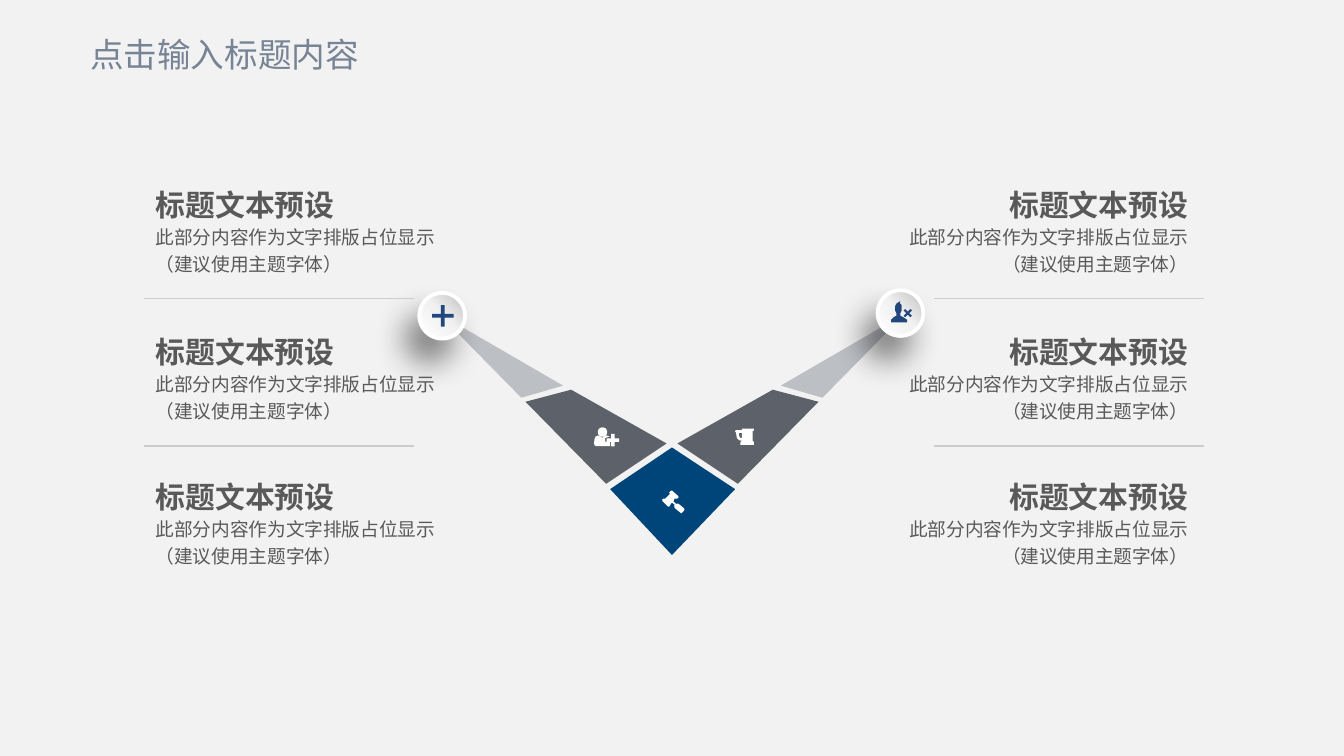
from copy import deepcopy
from dataclasses import dataclass
from math import cos, pi, sin

from lxml.etree import SubElement
from pptx import Presentation
from pptx.dml.color import RGBColor
from pptx.enum.shapes import MSO_CONNECTOR, MSO_SHAPE
from pptx.enum.text import MSO_ANCHOR, PP_ALIGN
from pptx.oxml import parse_xml
from pptx.oxml.ns import nsdecls, qn
from pptx.util import Emu, Pt

PX = 9144  # 100 px to the inch
WIDTH = 1000
HEIGHT = WIDTH * 9 / 16
FONT = "Noto Sans CJK SC"
COLORS = {
    "back": "F2F2F2", "title": "778495", "text": "595959", "rule": "CCCCCC",
    "tip": "BCBFC4", "arm": "5D626A", "base": "004579", "badge_icon": "22477D",
    "white": "FFFFFF", "shade": "BFBFBF", "shadow": "0D0D0D",
}
HEADING = "标题文本预设"
DETAIL = "此部分内容作为文字排版占位显示\n（建议使用主题字体）"

Points = list[tuple[float, float]]


@dataclass
class Outline:
    color: str
    contours: list[Points]


@dataclass
class Column:
    text_x: int
    rule_x: int
    align: PP_ALIGN


def px(n: float) -> Emu:
    return Emu(round(n * PX))


def rgb(name: str) -> RGBColor:
    return RGBColor.from_string(COLORS[name])


def disc(cx: float, cy: float, radius: float, steps: int = 20) -> Points:
    return [(cx + radius * cos(2 * pi * i / steps), cy + radius * sin(2 * pi * i / steps))
            for i in range(steps)]


def mirror(points: Points) -> Points:
    return [(WIDTH - x, y) for x, y in points]


def plus(cx: float, cy: float, reach: float, half: float) -> Points:
    a, b = reach, half
    offsets = [(-b, -a), (b, -a), (b, -b), (a, -b), (a, b), (b, b),
               (b, a), (-b, a), (-b, b), (-a, b), (-a, -b), (-b, -b)]
    return [(cx + dx, cy + dy) for dx, dy in offsets]


def cross(cx: float, cy: float, reach: float, half: float) -> Points:
    """A plus turned by 45 degrees."""
    return [(cx + (x - y) * 0.7, cy + (x + y) * 0.7) for x, y in plus(0, 0, reach, half)]


def add_outline(slide, outline: Outline):
    """One filled freeform; a contour inside another is a hole."""
    builder = None
    for contour in outline.contours:
        points = [(px(x), px(y)) for x, y in contour]
        if builder is None:
            builder = slide.shapes.build_freeform(*points[0], scale=1.0)
        else:
            builder.move_to(*points[0])
        builder.add_line_segments(points[1:], close=True)
    sp = builder.convert_to_shape()
    sp.shadow.inherit = False
    sp.fill.solid()
    sp.fill.fore_color.rgb = rgb(outline.color)
    sp.line.fill.background()
    return sp


def add_badge(slide, x: int, y: int, size: int = 34):
    """A white-rimmed disc with a gradient and a soft shadow."""
    sp = slide.shapes.add_shape(MSO_SHAPE.OVAL, px(x), px(y), px(size), px(size))
    sp.shadow.inherit = False
    sp.line.color.rgb = rgb("white")
    sp.line.width = Pt(2)
    stops = "".join(
        f'<a:gs pos="{pos * 1000}"><a:srgbClr val="{COLORS[name]}"/></a:gs>'
        for pos, name in [(0, "shade"), (50, "back"), (100, "white")])
    props = sp._element.spPr
    props.find(qn("a:prstGeom")).addnext(parse_xml(
        f'<a:gradFill {nsdecls("a")} rotWithShape="1"><a:gsLst>{stops}</a:gsLst>'
        f'<a:lin ang="{135 * 60000}" scaled="0"/></a:gradFill>'))
    props.find(qn("a:effectLst")).append(parse_xml(
        f'<a:outerShdw {nsdecls("a")} blurRad="{Pt(17)}" dist="{Pt(14)}" '
        f'dir="{120 * 60000}" algn="ctr" rotWithShape="0">'
        f'<a:srgbClr val="{COLORS["shadow"]}"><a:alpha val="50000"/></a:srgbClr>'
        '</a:outerShdw>'))
    return sp


def add_text(slide, text: str, x: int, y: int, w: int, h: int, *, size: int,
             color: str = "text", bold: bool = False, align: PP_ALIGN = PP_ALIGN.LEFT,
             spacing: float = 1.0, wrap: bool = True, pad: int = 0,
             anchor: MSO_ANCHOR = MSO_ANCHOR.TOP):
    sp = slide.shapes.add_textbox(px(x), px(y), px(w), px(h))
    tf = sp.text_frame
    tf.word_wrap = wrap
    tf.vertical_anchor = anchor
    tf.margin_left = tf.margin_right = 0
    tf.margin_top = tf.margin_bottom = px(pad)
    p = tf.paragraphs[0]
    p.text = text
    p.alignment = align
    p.line_spacing = spacing
    for r in p.runs:
        r.font.size = Pt(size)
        r.font.bold = bold
        r.font.name = FONT
        r.font.color.rgb = rgb(color)
        SubElement(r.font._element, qn("a:ea"), typeface=FONT)
    # Line breaks take the size of the text around them
    for br in p._p.findall(qn("a:br")):
        br.append(deepcopy(p.runs[0].font._element))
    return sp


def add_rule(slide, x: int, y: int, length: int = 201):
    line = slide.shapes.add_connector(
        MSO_CONNECTOR.STRAIGHT, px(x), px(y), px(x + length), px(y))
    line.line.color.rgb = rgb("rule")
    line.line.width = Pt(0.75)
    SubElement(line._element.spPr, qn("a:effectLst"))
    return line


# Parts of the V
TIP = [(388, 296), (419, 287), (326, 233)]
ARM = [(425, 290), (391, 299), (451, 360), (496, 330)]
BASE = [(500, 333), (454, 364), (500, 413), (547, 364)]

# Icons
PLUS = [plus(329.5, 235, 8, 1.4)]
USER_REMOVE = [
    cross(675.5, 233, 3.6, 0.8),
    [(675, 240), (663, 240), (663, 238), (665, 236), (667, 235), (667, 233),
     (666, 231), (666, 228), (667, 226), (670, 224), (669.5, 225.5), (671, 227),
     (671, 231), (670, 233), (670, 235), (672, 236), (675, 238)],
]
USER_ADD = [
    plus(456, 327.5, 4.7, 1.3),
    disc(448.3, 321.5, 3.5),
    [(452, 329), (454, 329), (454, 332), (444, 332), (442.5, 331.5), (442, 330),
     (442.3, 327), (443, 325), (445, 324), (448, 325.7), (451.5, 324), (453.5, 325),
     (452, 325.3), (450.3, 326), (450.3, 328.5)],
]
MUG = [
    [(552, 322), (549.7, 322), (550, 324.5), (551, 326), (552, 326)],
    [(561, 331), (551, 331), (551, 329), (552, 328), (550, 327.5), (548.3, 326),
     (547.7, 322), (547, 321), (547.5, 320), (552, 320), (552, 319), (561, 319),
     (561, 320), (560, 321), (560, 328), (561, 329)],
]
GAVEL = [
    [(509, 380), (508, 381), (507, 382), (506, 381.3), (502, 378), (501.7, 376.5),
     (502, 375.7), (500, 374), (499, 375), (498.7, 376), (498, 377), (497, 377),
     (493, 373), (492.7, 372), (493.5, 371), (495, 371), (498.5, 367.5), (498, 366.5),
     (499, 365.3), (500, 365), (504.5, 369), (505, 370), (504, 371), (502, 371),
     (501, 373), (503, 375), (504, 374.7), (505, 375), (509, 378.3), (509.3, 379.2)],
]


def main() -> None:
    prs = Presentation()
    prs.slide_width, prs.slide_height = px(WIDTH), px(HEIGHT)
    slide = prs.slides.add_slide(prs.slide_layouts[6])
    slide.background.fill.solid()
    slide.background.fill.fore_color.rgb = rgb("back")

    # V tips with their badges
    for tip in (TIP, mirror(TIP)):
        add_outline(slide, Outline("tip", [tip]))
    for x, y, icon in [(312, 218, PLUS), (653, 216, USER_REMOVE)]:
        add_badge(slide, x, y)
        add_outline(slide, Outline("badge_icon", icon))

    # Arms and base with white icons
    for part, color, icon in [(ARM, "arm", USER_ADD), (mirror(ARM), "arm", MUG),
                              (BASE, "base", GAVEL)]:
        add_outline(slide, Outline(color, [part]))
        add_outline(slide, Outline("white", icon))

    # Text columns and their rules
    for column in (Column(670, 695, PP_ALIGN.RIGHT), Column(116, 107, PP_ALIGN.LEFT)):
        for y in (139, 248, 356):
            add_text(slide, DETAIL, column.text_x, y + 26, 214, 42,
                     size=10, align=column.align, spacing=1.2)
            add_text(slide, HEADING, column.text_x, y, 214, 25,
                     size=16, bold=True, align=column.align, wrap=False)
        for y in (222, 332):
            add_rule(slide, column.rule_x, y)

    # Slide title
    add_text(slide, "点击输入标题内容", 67, 19, 233, 42, size=18, color="title",
             pad=5, anchor=MSO_ANCHOR.MIDDLE)

    prs.save("out.pptx")


if __name__ == "__main__":
    main()
